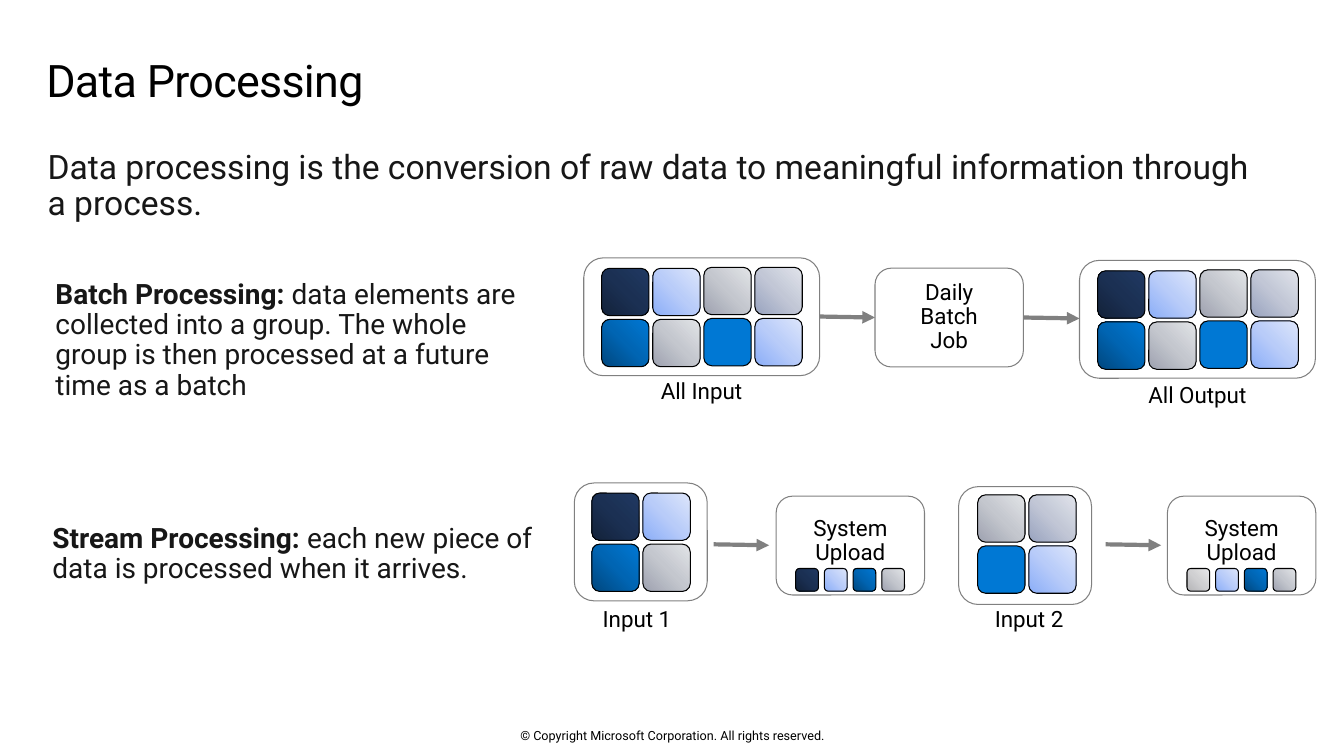
import pptx
import pptx.util
import pptx.dml.color
import pptx.enum.shapes
import pptx.enum.text
import pptx.oxml
import pptx.oxml.ns

Pt = pptx.util.Pt
RGB = pptx.dml.color.RGBColor.from_string
SHAPE = pptx.enum.shapes.MSO_SHAPE
ALIGN = pptx.enum.text.PP_ALIGN
ANCHOR = pptx.enum.text.MSO_ANCHOR

THEME = {
    "font": "Roboto", "text": "000000", "body": "171717", "frame": "808080",
    "title_pt": 32, "lead_pt": 24, "body_pt": 20, "label_pt": 16, "footer_pt": 9,
    "fills": {  # dark to light, or one plain colour
        "navy": ("13223A", "1B3053", "203962"),
        "blue": ("00477E", "0065B3", "0078D4"),
        "sky": ("8BAEF8", "B9CCF9", "DDE6FB"),
        "grey": ("9EA2B0", "C4C7CE", "E2E4E7"),
        "steel": ("98A3BF", "C2C7D6", "E1E4EB"),
        "silver": ("B4B4B7", "D0D0D2", "E8E8E9"),
        "azure": ("0078D4",),
    },
}

TITLE = "Data Processing"
LEAD = "Data processing is the conversion of raw data to meaningful information through a process."
FOOTER = "© Copyright Microsoft Corporation. All rights reserved."
DEFINITIONS = [  # left, top, height, term, meaning
    (25.2, 188.6, 110.2, "Batch Processing: ",
     "data elements are collected into a group. The whole group is then processed "
     "at a future time as a batch"),
    (23, 362.9, 67, "Stream Processing: ",
     "each new piece of data is processed when it arrives."),
]
BATCH = [("navy", "sky", "grey", "steel"), ("blue", "grey", "azure", "sky")]
FIRST_HALF = [row[:2] for row in BATCH]
SECOND_HALF = [row[2:] for row in BATCH]
# frame left, top, width; first tile left, top; tiles; caption left, top, text
GROUPS = [
    (417, 184.2, 168.5, 429.8, 191.7, BATCH, 432, 260, "All Input"),
    (771.1, 186, 168.5, 784.1, 193.5, BATCH, 786.2, 262.8, "All Output"),
    (410.2, 345, 95, 422.8, 352.2, FIRST_HALF, 385.9, 422.6, "Input 1"),
    (684.7, 347.6, 95, 698.4, 353.5, SECOND_HALF, 666, 422.6, "Input 2"),
]
# left, top, lines, anchor, tiles stored inside
JOBS = [
    (625, 191.5, ["Daily", "Batch Job"], ANCHOR.MIDDLE, ()),
    (554.4, 354.4, ["System Upload"], ANCHOR.TOP, ("navy", "sky", "blue", "grey")),
    (833.9, 354.4, ["System Upload"], ANCHOR.TOP, ("silver", "sky", "blue", "grey")),
]
ARROWS = [(585.4, 226.1), (731.5, 226.8), (509.8, 388.8), (789.8, 388.8)]

TILE, TILE_PITCH = 33.8, 36.5
MINI, MINI_PITCH = 16.2, 20.5
FRAME_H, JOB_W, JOB_H = 84.2, 106, 70.6
CAPTION_W, CAPTION_H = 138.2, 41
ARROW_W, ARROW_DROP = 39.6, 0.7
INSETS = (14.4, 11.5, 14.4, 11.5)


def write(s, lines, size, color=THEME["text"], align=ALIGN.LEFT, anchor=ANCHOR.TOP,
          insets=INSETS, after=0, spacing=0.9):
    """Each line is a list of runs; when there are two, the first is bold."""
    tf = s.text_frame
    tf.word_wrap = True
    tf.vertical_anchor = anchor
    tf.margin_left, tf.margin_top, tf.margin_right, tf.margin_bottom = map(Pt, insets)
    for i, runs in enumerate(lines):
        p = tf.add_paragraph() if i else tf.paragraphs[0]
        p.alignment, p.line_spacing, p.space_after = align, spacing, Pt(after)
        for j, text in enumerate(runs):
            r = p.add_run()
            r.text = text
            r.font.name, r.font.size = THEME["font"], Pt(size)
            r.font.bold = len(runs) == 2 and j == 0
            r.font.color.rgb = RGB(color)
    return s


def text_box(sl, x, y, w, h, lines, size, **style):
    return write(sl.shapes.add_textbox(*map(Pt, (x, y, w, h))), lines, size, **style)


def rounded(sl, x, y, w, h, line):
    s = sl.shapes.add_shape(SHAPE.ROUNDED_RECTANGLE, *map(Pt, (x, y, w, h)))
    s.shadow.inherit = False
    s.fill.background()
    s.line.color.rgb, s.line.width = RGB(line), Pt(0.75)
    return s


def tile(sl, x, y, size, name):
    s = rounded(sl, x, y, size, size, THEME["text"])
    colors = THEME["fills"][name]
    if len(colors) == 1:
        s.fill.solid()
        s.fill.fore_color.rgb = RGB(colors[0])
        return
    stops = "".join(f'<a:gs pos="{i * 50000}"><a:srgbClr val="{c}"/></a:gs>'
                    for i, c in enumerate(colors))
    shade = '<a:lin ang="18900000" scaled="1"/>'
    if name == "navy":
        shade = '<a:path path="circle"><a:fillToRect t="100000" r="100000"/></a:path>'
    grad = pptx.oxml.parse_xml(f'<a:gradFill {pptx.oxml.ns.nsdecls("a")}>'
                               f'<a:gsLst>{stops}</a:gsLst>{shade}</a:gradFill>')
    sp_pr = s._element.spPr
    sp_pr.replace(sp_pr.find(pptx.oxml.ns.qn("a:noFill")), grad)


def tile_group(sl, x, y, w, tx, ty, rows, cx, cy, caption):
    for i, row in enumerate(rows):
        for j, name in enumerate(row):
            lift = 0.7 if j > 1 else 0
            tile(sl, tx + j * TILE_PITCH, ty + i * TILE_PITCH - lift, TILE, name)
    rounded(sl, x, y, w, FRAME_H, THEME["frame"])
    text_box(sl, cx, cy, CAPTION_W, CAPTION_H, [[caption]], THEME["label_pt"],
             align=ALIGN.CENTER, anchor=ANCHOR.MIDDLE, after=6)


def job(sl, x, y, lines, anchor, stored):
    s = rounded(sl, x, y, JOB_W, JOB_H, THEME["frame"])
    write(s, [[line] for line in lines], THEME["label_pt"], align=ALIGN.CENTER, anchor=anchor)
    for i, name in enumerate(stored):
        tile(sl, x + 14 + i * MINI_PITCH, y + 51.7, MINI, name)


def arrow(sl, x, y):
    s = sl.shapes.add_connector(pptx.enum.shapes.MSO_CONNECTOR.STRAIGHT,
                                *map(Pt, (x, y, x + ARROW_W, y + ARROW_DROP)))
    s.line.color.rgb, s.line.width = RGB(THEME["frame"]), Pt(3)
    ns = pptx.oxml.ns.nsdecls("a")
    s.line._get_or_add_ln().append(pptx.oxml.parse_xml(f'<a:tailEnd {ns} type="triangle"/>'))
    s._element.spPr.append(pptx.oxml.parse_xml(f"<a:effectLst {ns}/>"))


def main():
    prs = pptx.Presentation()
    prs.slide_width, prs.slide_height = Pt(960), Pt(540)
    sl = prs.slides.add_slide(prs.slide_layouts[6])

    text_box(sl, 318.2, 519.8, 324, 10.8, [[FOOTER]], THEME["footer_pt"],
             align=ALIGN.CENTER, anchor=ANCHOR.MIDDLE, insets=(0, 0, 0, 0), spacing=1)
    title = text_box(sl, 33.1, 34.6, 892.8, 53.3, [[TITLE]], THEME["title_pt"],
                     insets=(0, 7.2, 11.5, 7.2))
    title.text_frame.paragraphs[0].runs[0].font._element.set("spc", "-50")
    text_box(sl, 19.6, 95.8, 898.6, 75.6, [[LEAD]], THEME["lead_pt"],
             color=THEME["body"], after=6)
    for x, y, h, term, meaning in DEFINITIONS:
        text_box(sl, x, y, 378, h, [[term, meaning]], THEME["body_pt"],
                 color=THEME["body"], after=6)
    for group in GROUPS:
        tile_group(sl, *group)
    for step in JOBS:
        job(sl, *step)
    for start in ARROWS:
        arrow(sl, *start)
    prs.save("out.pptx")


if __name__ == "__main__":
    main()
